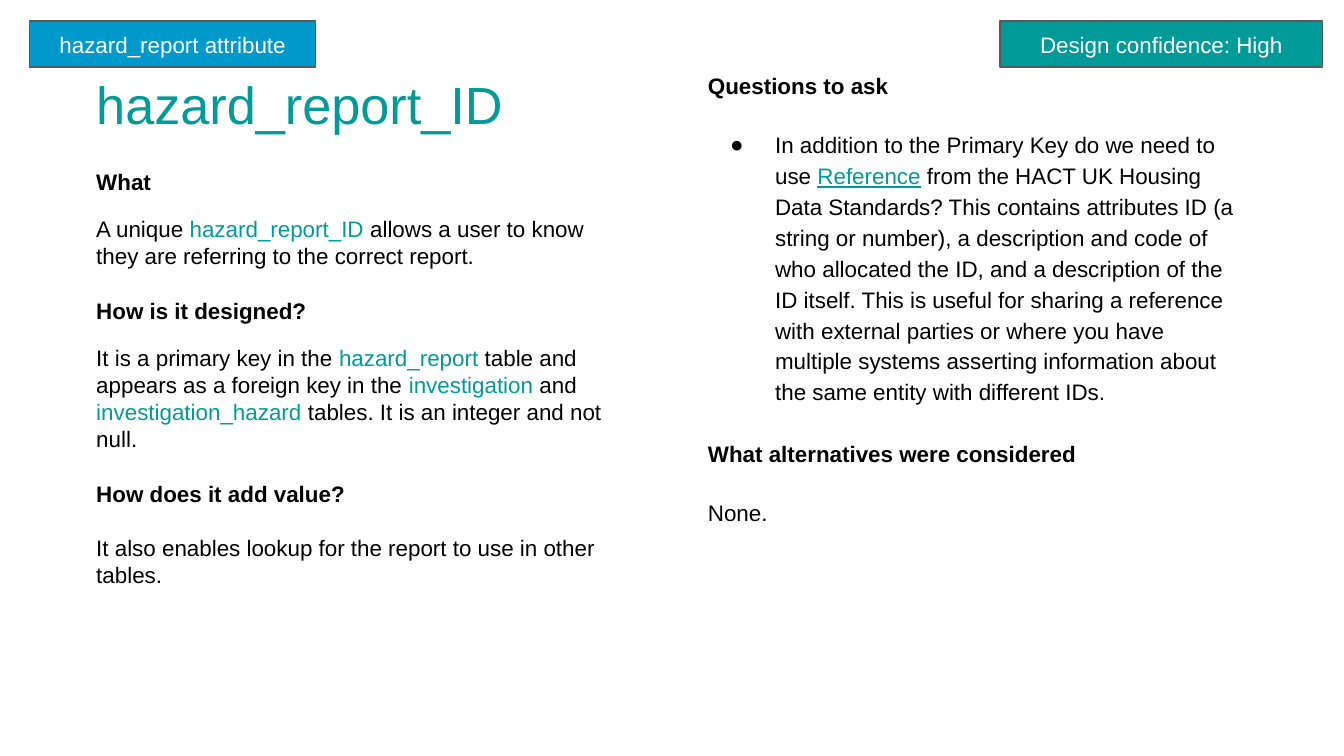
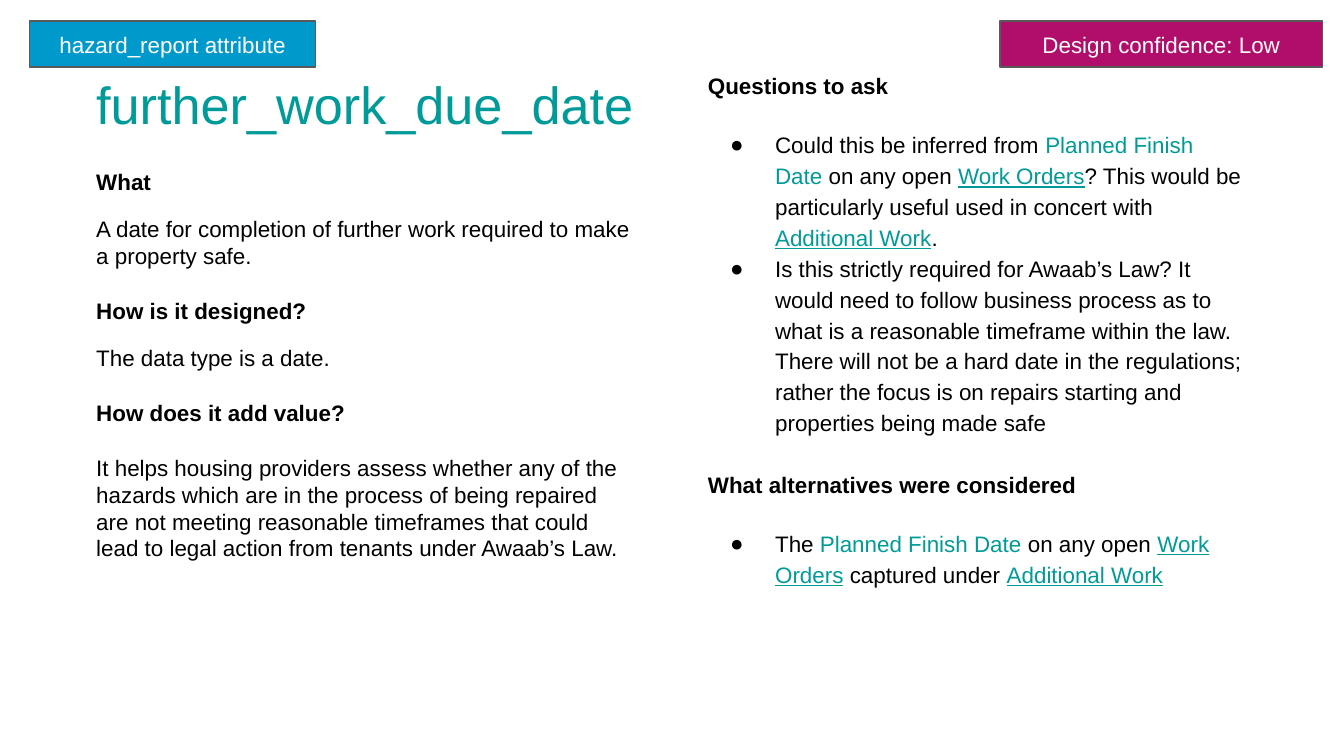
"""Build two data-attribute slides with design notes and open questions."""
from lxml.etree import SubElement
from pptx import Presentation
from pptx.dml.color import RGBColor as RGB
from pptx.enum.shapes import MSO_SHAPE as Preset
from pptx.enum.text import MSO_ANCHOR as Anchor, PP_ALIGN as Align
from pptx.oxml.ns import qn
from pptx.util import Cm, Pt

COLORS = {"text": "000000", "term": "009B99", "attribute": "0099CC", "High": "009B99",
          "Low": "B00E6A", "border": "595959", "badge": "FFFFFF"}
FONT = "Arial"
LINKS = {"Reference", "Work Orders", "Additional Work"}
LEFT, RIGHT, TOP = 1.57, 13.13, 1.12
COLUMN_WIDTH = 10.64

ATTRIBUTES = [
    {
        "title": "hazard_report_ID",
        "confidence": "High",
        "what": "A unique |hazard_report_ID| allows a user to know they are referring to the "
                "correct report.",
        "design": "It is a primary key in the |hazard_report| table and appears as a foreign key "
                  "in the |investigation| and |investigation_hazard| tables. It is an integer "
                  "and not null.",
        "value": "It also enables lookup for the report to use in other tables.",
        "questions": [
            "In addition to the Primary Key do we need to use |Reference| from the HACT UK "
            "Housing Data Standards? This contains attributes ID (a string or number), a "
            "description and code of who allocated the ID, and a description of the ID itself. "
            "This is useful for sharing a reference with external parties or where you have "
            "multiple systems asserting information about the same entity with different IDs.",
        ],
        "alternative": "None.",
        "alternative_bullet": False,
    },
    {
        "title": "further_work_due_date",
        "confidence": "Low",
        "what": "A date for completion of further work required to make a property safe.",
        "design": "The data type is a date.",
        "value": "It helps housing providers assess whether any of the hazards which are in the "
                 "process of being repaired are not meeting reasonable timeframes that could "
                 "lead to legal action from tenants under Awaab’s Law.",
        "questions": [
            "Could this be inferred from |Planned Finish Date| on any open |Work Orders|? This "
            "would be particularly useful used in concert with |Additional Work|.",
            "Is this strictly required for Awaab’s Law? It would need to follow business process "
            "as to what is a reasonable timeframe within the law. There will not be a hard date "
            "in the regulations; rather the focus is on repairs starting and properties being "
            "made safe",
        ],
        "alternative": "The |Planned Finish Date| on any open |Work Orders| captured under "
                       "|Additional Work|",
        "alternative_bullet": True,
    },
]


def prepare(shape, anchor=Anchor.TOP):
    """Set wrapping, insets and anchor, and return the text frame."""
    frame = shape.text_frame
    frame.word_wrap = True
    frame.vertical_anchor = anchor
    frame.margin_left = frame.margin_right = Cm(0.25)
    frame.margin_top = frame.margin_bottom = Cm(0.25)
    return frame


def write(frame, text, size=12, color="text", bold=False, align=Align.LEFT,
          before=0, spacing=1.0, bullet=False):
    """Write one paragraph; parts between bars are highlighted terms."""
    paragraph = frame.paragraphs[0]
    if paragraph.runs:
        paragraph = frame.add_paragraph()
    paragraph.alignment = align
    paragraph.line_spacing = spacing
    paragraph.space_before = Pt(before)
    if bullet:
        props = paragraph._p.get_or_add_pPr()
        props.set("marL", str(Cm(1.27)))
        props.set("indent", str(Cm(-0.85)))
        SubElement(SubElement(props, qn("a:buClr")), qn("a:srgbClr"), val=COLORS["text"])
        SubElement(props, qn("a:buFont"), typeface=FONT)
        SubElement(props, qn("a:buChar"), char="●")
    for index, part in enumerate(text.split("|")):
        if part:
            run = paragraph.add_run()
            run.text = part
            is_term = index % 2 == 1
            run.font.name = FONT
            run.font.size = Pt(size)
            run.font.bold = bold
            run.font.underline = is_term and part in LINKS
            run.font.color.rgb = RGB.from_string(COLORS["term" if is_term else color])


deck = Presentation()
deck.slide_width, deck.slide_height = Cm(25.4), Cm(14.29)

for attribute in ATTRIBUTES:
    slide = deck.slides.add_slide(deck.slide_layouts[6])
    shapes = slide.shapes

    title = prepare(shapes.add_textbox(Cm(LEFT), Cm(TOP), Cm(11.89), Cm(1.6)))
    write(title, attribute["title"], size=28, color="term")

    design = prepare(shapes.add_textbox(Cm(LEFT), Cm(2.92), Cm(COLUMN_WIDTH), Cm(8.74)))
    for heading, key, heading_gap, answer_gap in [
        ("What", "what", 0, 11),
        ("How is it designed?", "design", 15, 11),
        ("How does it add value?", "value", 15, 15),
    ]:
        write(design, heading, bold=True, before=heading_gap)
        write(design, attribute[key], before=answer_gap)

    review = prepare(shapes.add_textbox(Cm(RIGHT), Cm(TOP), Cm(COLUMN_WIDTH), Cm(8.46)))
    write(review, "Questions to ask", bold=True)
    for number, question in enumerate(attribute["questions"]):
        write(review, question, before=0 if number else 15, spacing=1.15, bullet=True)
    write(review, "What alternatives were considered", bold=True, before=16.5, spacing=1.15)
    write(review, attribute["alternative"], before=15, spacing=1.15,
          bullet=attribute["alternative_bullet"])

    confidence = attribute["confidence"]
    for label, fill, left, width in [
        (f"Design confidence: {confidence}", confidence, 18.9, 6.1),
        ("hazard_report attribute", "attribute", 0.56, 5.41),
    ]:
        badge = shapes.add_shape(Preset.RECTANGLE, Cm(left), Cm(0.4), Cm(width), Cm(0.87))
        badge.shadow.inherit = False
        badge.fill.solid()
        badge.fill.fore_color.rgb = RGB.from_string(COLORS[fill])
        badge.line.color.rgb = RGB.from_string(COLORS["border"])
        badge.line.width = Pt(0.75)
        write(prepare(badge, Anchor.MIDDLE), label, color="badge", align=Align.CENTER)

deck.save("out.pptx")
